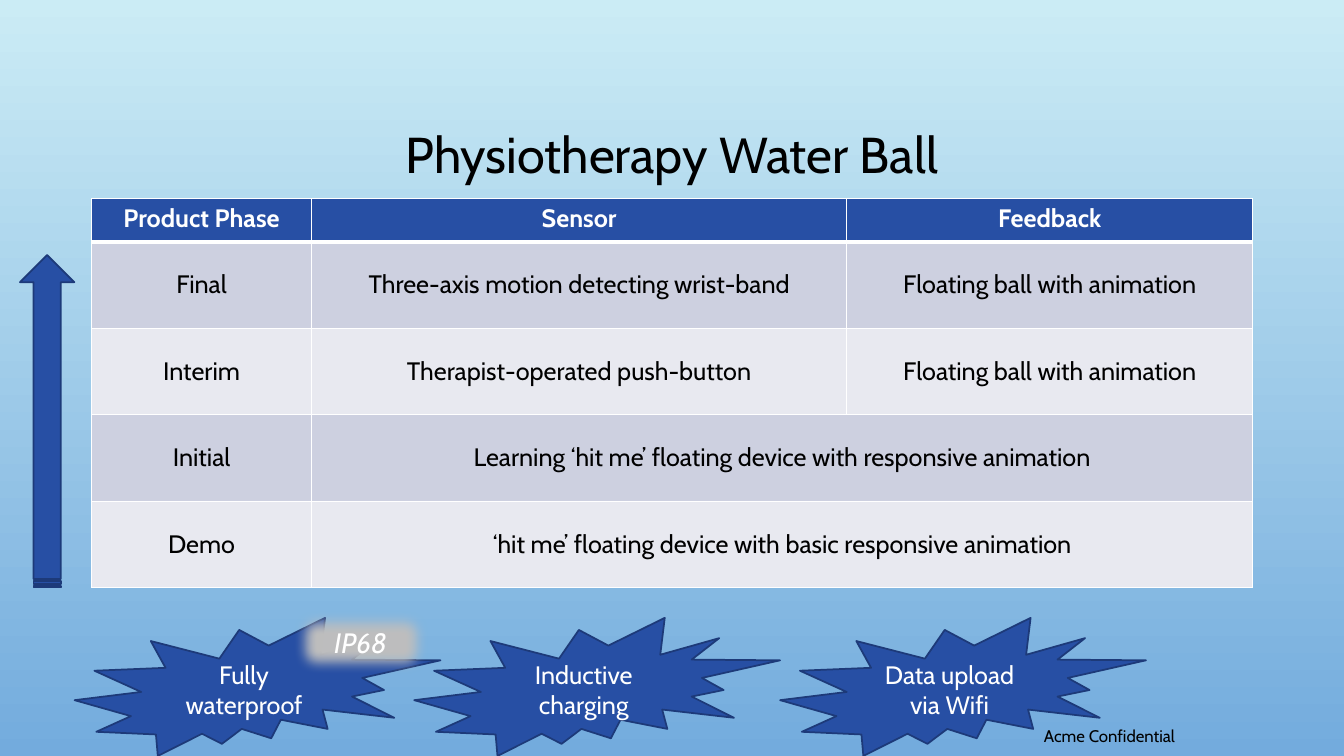
from typing import NamedTuple

from lxml import etree
from pptx import Presentation
from pptx.dml.color import RGBColor
from pptx.enum.shapes import MSO_SHAPE
from pptx.enum.text import MSO_ANCHOR, MSO_AUTO_SIZE, PP_ALIGN
from pptx.oxml.ns import qn
from pptx.util import Cm, Pt

SEAL = MSO_SHAPE.EXPLOSION2
STRIPED_ARROW = MSO_SHAPE.STRIPED_RIGHT_ARROW
ROUNDED = MSO_SHAPE.ROUNDED_RECTANGLE
MIDDLE, TOP = MSO_ANCHOR.MIDDLE, MSO_ANCHOR.TOP
CENTER, LEFT = PP_ALIGN.CENTER, PP_ALIGN.LEFT

BLUE, DARK_BLUE, GREY = "274FA4", "1D3A79", "BFBFBF"
BLACK, WHITE = "000000", "FFFFFF"
BANDS = ("CDD0E0", "E8E9F0")


class Box(NamedTuple):
    left: float
    top: float
    width: float
    height: float


class Figure(NamedTuple):
    kind: int
    box: Box
    text: str = ""
    fill: str = BLUE
    line: str = DARK_BLUE
    size: int = 18
    italic: bool = False
    rotation: int = 0
    soft_edge: int = 0


HEADER = ("Product Phase", "Sensor", "Feedback")
PHASES = (
    ("Final", "Three-axis motion detecting wrist-band", "Floating ball with animation"),
    ("Interim", "Therapist-operated push-button", "Floating ball with animation"),
    ("Initial", "Learning ‘hit me’ floating device with responsive animation"),
    ("Demo", "‘hit me’ floating device with basic responsive animation"),
)
COLUMN_WIDTHS = (5.54, 13.49, 10.23)
HEADER_HEIGHT, PHASE_HEIGHT = 1.09, 2.18

SEALS = ((1.88, "Fully waterproof"), (10.44, "Inductive charging"),
         (19.66, "Data upload via Wifi"))
FIGURES = [Figure(SEAL, Box(left, 15.57, 9.22, 3.48), text) for left, text in SEALS] + [
    Figure(STRIPED_ARROW, Box(-3, 9.93, 8.38, 1.37), rotation=270),
    Figure(ROUNDED, Box(7.39, 15.39, 3.4, 1.6), "IP68", GREY, "", 20, True,
           soft_edge=112500),
]


def color(value: str) -> RGBColor:
    return RGBColor.from_string(value)


def lengths(box: Box) -> list:
    return [Cm(value) for value in box]


def write(text_frame, text: str, text_color: str, size: int, align=CENTER,
          **font_format) -> None:
    paragraph = text_frame.paragraphs[0]
    paragraph.text = text
    paragraph.alignment = align
    paragraph.font.color.rgb = color(text_color)
    for name, value in {"name": "Cabin", "size": Pt(size), **font_format}.items():
        setattr(paragraph.font, name, value)


def add_figure(slide, figure: Figure) -> None:
    shape = slide.shapes.add_shape(figure.kind, *lengths(figure.box))
    shape.rotation = figure.rotation
    shape.shadow.inherit = False
    shape.fill.solid()
    shape.fill.fore_color.rgb = color(figure.fill)
    if figure.line:
        shape.line.color.rgb = color(figure.line)
        shape.line.width = Pt(1.25)
    else:
        shape.line.fill.background()
    if figure.soft_edge:
        effects = shape.element.spPr.find(qn("a:effectLst"))
        etree.SubElement(effects, qn("a:softEdge"), rad=str(figure.soft_edge))
    if figure.text:
        shape.text_frame.word_wrap = True
        shape.text_frame.vertical_anchor = MIDDLE
        write(shape.text_frame, figure.text, WHITE, figure.size, italic=figure.italic)


def set_borders(cell, row: int) -> None:
    properties = cell._tc.get_or_add_tcPr()
    widths = {"a:lnL": 1, "a:lnR": 1, "a:lnT": 3 if row == 1 else 1,
              "a:lnB": 3 if row == 0 else 1}
    for index, (tag, width) in enumerate(widths.items()):
        line = etree.Element(qn(tag), w=str(Pt(width)))
        fill = etree.SubElement(line, qn("a:solidFill"))
        etree.SubElement(fill, qn("a:srgbClr"), val=WHITE)
        properties.insert(index, line)


def add_phase_table(slide) -> None:
    row_heights = [HEADER_HEIGHT] + [PHASE_HEIGHT] * len(PHASES)
    box = Box(2.31, 5, sum(COLUMN_WIDTHS), sum(row_heights))
    table = slide.shapes.add_table(len(row_heights), len(HEADER), *lengths(box)).table
    for column, width in zip(table.columns, COLUMN_WIDTHS):
        column.width = Cm(width)
    for row, texts in enumerate((HEADER, *PHASES)):
        table.rows[row].height = Cm(row_heights[row])
        is_header = row == 0
        for cell in table.rows[row].cells:
            cell.fill.solid()
            cell.fill.fore_color.rgb = color(BLUE if is_header else BANDS[(row - 1) % 2])
            cell.vertical_anchor = TOP if is_header else MIDDLE
            set_borders(cell, row)
        if len(texts) < len(HEADER):
            table.cell(row, 1).merge(table.cell(row, 2))
        for column, text in enumerate(texts):
            write(table.cell(row, column).text_frame, text,
                  WHITE if is_header else BLACK, 18, bold=is_header)


def main() -> None:
    presentation = Presentation()
    presentation.slide_width, presentation.slide_height = Cm(33.87), Cm(19.05)
    slide = presentation.slides.add_slide(presentation.slide_layouts[5])

    # Background
    background = slide.background.fill
    background.gradient()
    background.gradient_angle = 270
    for stop, value in zip(background.gradient_stops, ("CBECF5", "73ABDD")):
        stop.color.rgb = color(value)

    # Confidentiality note
    note = slide.shapes.add_textbox(*lengths(Box(26.06, 18.16, 4.17, 0.76)))
    note.text_frame.word_wrap = False
    write(note.text_frame, "Acme Confidential", BLACK, 12, LEFT)

    # Title
    title = slide.shapes.title
    title.left, title.top, title.width, title.height = lengths(Box(2.54, 1.73, 28.78, 4.44))
    title.text_frame.auto_size = MSO_AUTO_SIZE.NONE
    title.text_frame.vertical_anchor = MIDDLE
    write(title.text_frame, "Physiotherapy Water Ball", BLACK, 36)
    title.text_frame.paragraphs[0].line_spacing = 0.9

    # Phases, then features and the progress arrow
    add_phase_table(slide)
    for figure in FIGURES:
        add_figure(slide, figure)

    presentation.save("out.pptx")


if __name__ == "__main__":
    main()
